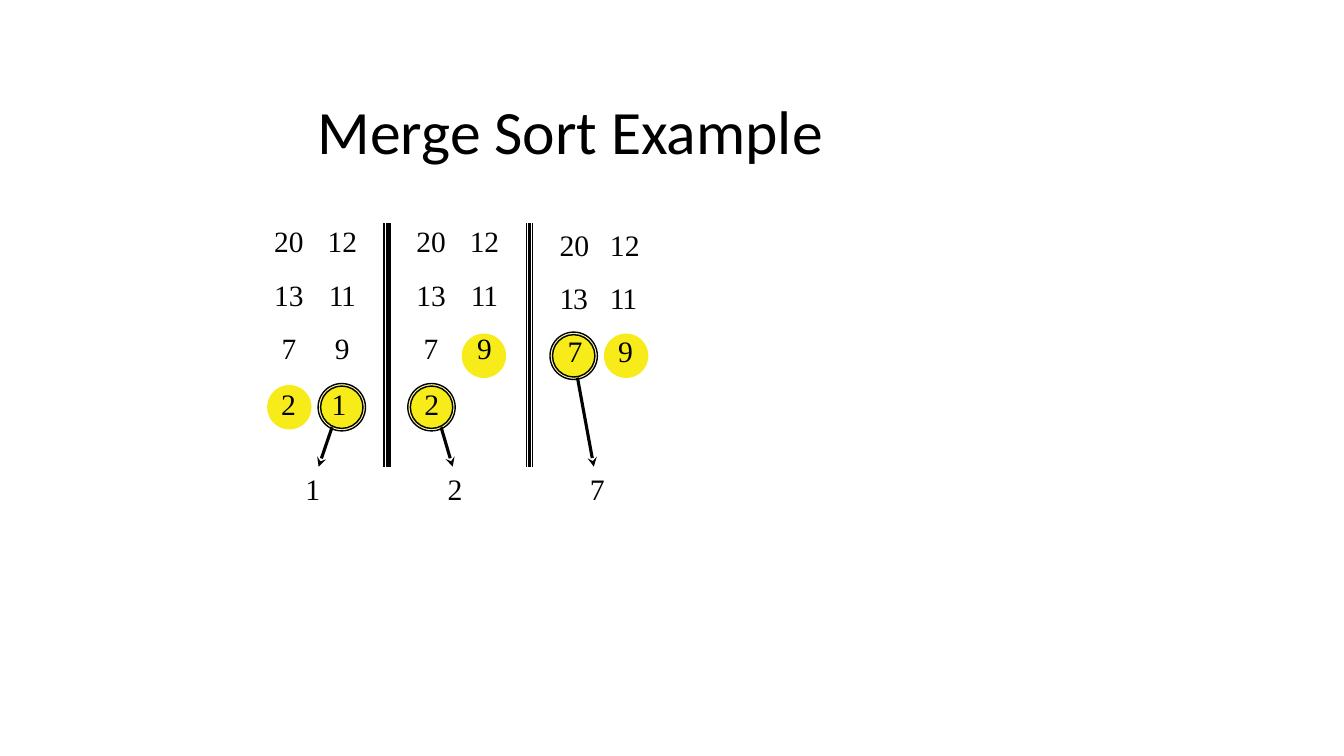
import pptx
import pptx.dml.color
import pptx.enum.shapes
import pptx.enum.text
import pptx.oxml
import pptx.oxml.ns
import pptx.util
import lxml.etree

INK = "010202"
YELLOW = "F7EC1A"
SERIF = "Times New Roman"
CELLS_PER_INCH = 10
PLAIN_TABLE = "{2D5ABB26-0587-4C30-8999-92F81FD0307C}"


def grid(cells):
    return pptx.util.Inches(cells / CELLS_PER_INCH)


def colour(hex_string):
    return pptx.dml.color.RGBColor.from_string(hex_string)


def child(parent, tag, **attributes):
    element = lxml.etree.SubElement(parent, pptx.oxml.ns.qn(tag))
    for key, value in attributes.items():
        element.set(key, str(value))
    return element


class Board:
    def __init__(self, deck):
        self.slide = deck.slides.add_slide(deck.slide_layouts[5])
        self.shapes = self.slide.shapes

    def style(self, paragraph, size, font=SERIF, ink=INK):
        for run in paragraph.runs:
            run.font.size = pptx.util.Pt(size)
            run.font.name = font
            run.font.color.rgb = colour(ink)
            if run.text.endswith("11"):
                run.font._element.set("spc", "-90")

    def frame(self, holder, top=0.1, right=0):
        holder.margin_left = holder.margin_bottom = 0
        holder.margin_top, holder.margin_right = grid(top), grid(right)

    def title(self, words, col, row, cols, rows):
        heading = self.shapes.title
        heading.left, heading.top = grid(col), grid(row)
        heading.width, heading.height = grid(cols), grid(rows)
        heading.text_frame.text = words
        self.frame(heading.text_frame)
        heading.text_frame.auto_size = pptx.enum.text.MSO_AUTO_SIZE.NONE
        heading.text_frame.vertical_anchor = pptx.enum.text.MSO_ANCHOR.MIDDLE
        paragraph = heading.text_frame.paragraphs[0]
        paragraph.alignment = pptx.enum.text.PP_ALIGN.LEFT
        paragraph._p.get_or_add_pPr().set("marL", str(grid(0.1)))
        self.style(paragraph, 44, "Calibri", "000000")

    def digits(self, words, col, row, cols, rows, top=0.1, indents=(0.1,)):
        box = self.shapes.add_textbox(grid(col), grid(row), grid(cols), grid(rows))
        box.text_frame.text = words
        box.text_frame.word_wrap = True
        self.frame(box.text_frame, top)
        for index, paragraph in enumerate(box.text_frame.paragraphs):
            indent = indents[min(index, len(indents) - 1)]
            if index:
                paragraph.space_before = pptx.util.Pt(12.5)
            properties = paragraph._p.get_or_add_pPr()
            properties.set("marL", str(grid(indent)))
            properties.set("indent", "0")
            if "\t" in paragraph.text:
                stops = child(properties, "a:tabLst")
                child(stops, "a:tab", pos=grid(5.3 + indent), algn="l")
            self.style(paragraph, 21.2)

    def table(self, rows, col, row, widths, heights):
        graphic = self.shapes.add_table(len(rows), len(widths), grid(col), grid(row),
                                        grid(sum(widths)), grid(sum(heights)))
        table = graphic.table
        table.first_row = table.horz_banding = False
        table._tbl.tblPr.find(pptx.oxml.ns.qn("a:tableStyleId")).text = PLAIN_TABLE
        for column, width in zip(table.columns, widths):
            column.width = grid(width)
        for r, numbers in enumerate(rows):
            table.rows[r].height = grid(heights[r])
            for c, number in enumerate(numbers):
                cell = table.cell(r, c)
                cell.text_frame.text = number
                cell.fill.background()
                self.frame(cell, 0.7 if r else 0.4, 1.8 if c else 0)
                paragraph = cell.text_frame.paragraphs[0]
                paragraph.alignment = pptx.enum.text.PP_ALIGN.CENTER
                self.style(paragraph, 21)

    def circle(self, x, y, diameter, fill=None):
        corner = diameter / 2
        oval = self.shapes.add_shape(pptx.enum.shapes.MSO_SHAPE.OVAL, grid(x - corner),
                                     grid(y - corner), grid(diameter), grid(diameter))
        oval.shadow.inherit = False
        if fill:
            oval.fill.solid()
            oval.fill.fore_color.rgb = colour(fill)
            oval.line.fill.background()
        else:
            oval.fill.background()
            oval.line.color.rgb = colour(INK)
            oval.line.width = pptx.util.Pt(1)

    def candidate(self, x, y, chosen):
        self.circle(x, y, 4.4, YELLOW)
        if chosen:
            for diameter in (4.7, 4.2):
                self.circle(x, y, diameter)

    def line(self, start, end, weight, arrow=False):
        stroke = self.shapes.add_connector(pptx.enum.shapes.MSO_CONNECTOR.STRAIGHT,
                                           *map(grid, start + end))
        stroke.line.color.rgb = colour(INK)
        stroke.line.width = pptx.util.Pt(weight)
        if arrow:
            child(stroke.line._get_or_add_ln(), "a:tailEnd", type="stealth")
        child(stroke._element.spPr, "a:effectLst")

    def divider(self, x, top, bottom):
        for offset, weight in ((-0.3, 1), (0, 2), (0.3, 1)):
            self.line((x + offset, top), (x + offset, bottom), weight)


deck = pptx.Presentation()
deck.slide_width = pptx.util.Inches(13.33)
deck.slide_height = pptx.util.Inches(7.5)
board = Board(deck)
board.title("Merge Sort Example", 31.4, 9.1, 61.8, 7.5)

STAGE_STEP = 14.1
TOP, BOTTOM = 22.1, 46.3
LEFT_RUN, RIGHT_RUN = 28.7, 33.9
THIRD_ROW, FOURTH_ROW = 35.3, 40.4
remaining = [("20", "12"), ("13", "11"), ("7", "9")]
stages = [
    ("1", (FOURTH_ROW, FOURTH_ROW), 1, (33.1, 41.9), 31.6),
    ("2", (FOURTH_ROW, THIRD_ROW), 0, (43.4, 41.2), 44.9),
    ("7", (THIRD_ROW, THIRD_ROW), 0, (56.6, 33.8), 58.9),
]

for stage, (smallest, heads, winner, arrow_start, arrow_end) in enumerate(stages):
    shift = stage * STAGE_STEP
    board.line(arrow_start, (arrow_end, BOTTOM), 2.25, arrow=True)
    for run, (x, y) in enumerate(zip((LEFT_RUN, RIGHT_RUN), heads)):
        board.candidate(x + shift, y, run == winner)
    if stage < 2:
        board.divider(38.4 + shift, TOP, BOTTOM)
        board.table(remaining, 26 + shift, TOP, (5.3, 7.1), (5, 5.3, 4.6))
    board.digits(smallest, 30.2 + shift, 46.6, 1.7, 3.7)

board.digits("2\t1", 27.8, 38.2, 7, 3.7)
board.digits("2", 42, 38.2, 1.7, 3.7)
board.digits("\n".join(map("\t".join, remaining)), 55.4, 20.6, 8.5, 16.2,
             top=1.9, indents=(0.1, 0.1, 0.9))

deck.save("out.pptx")
